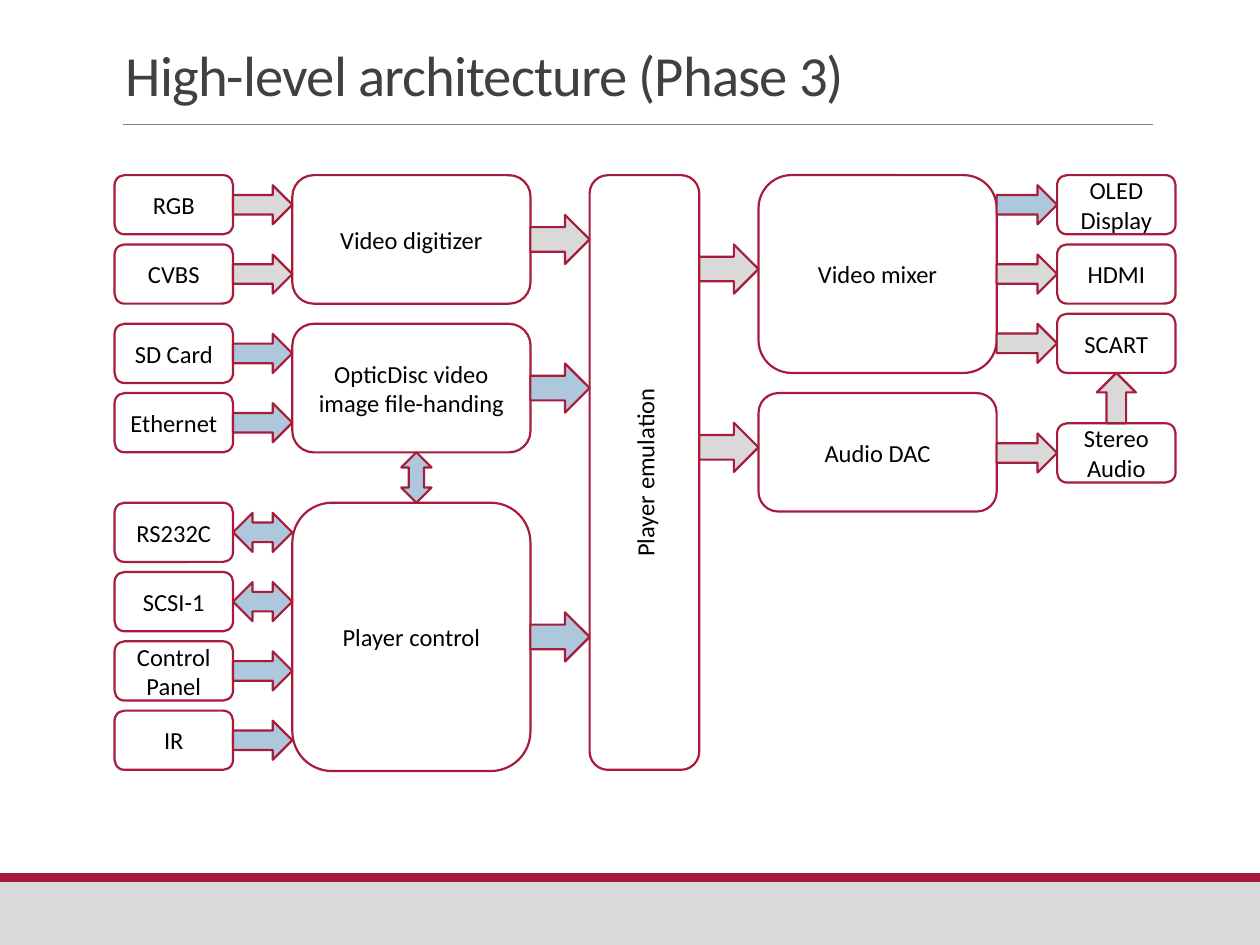
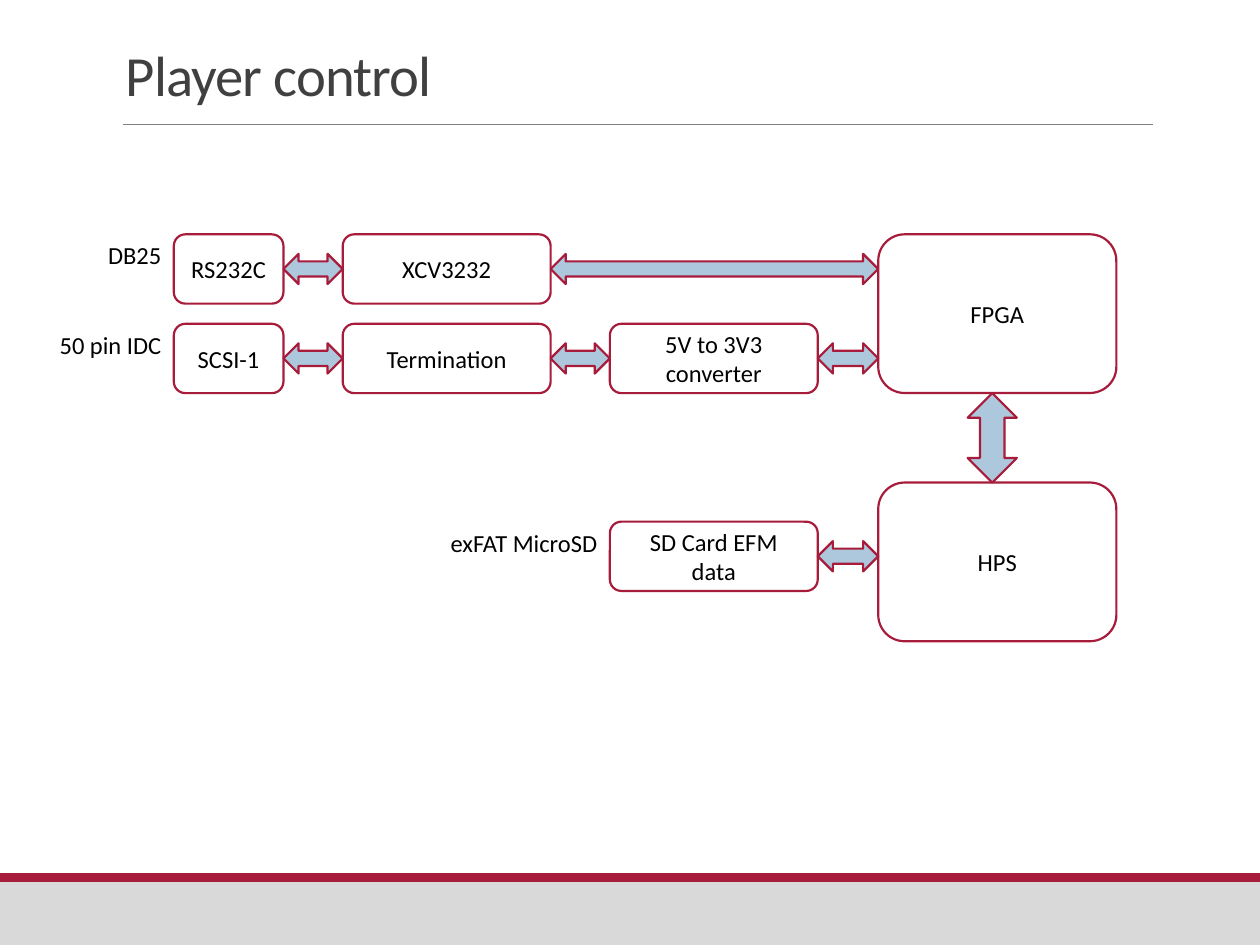
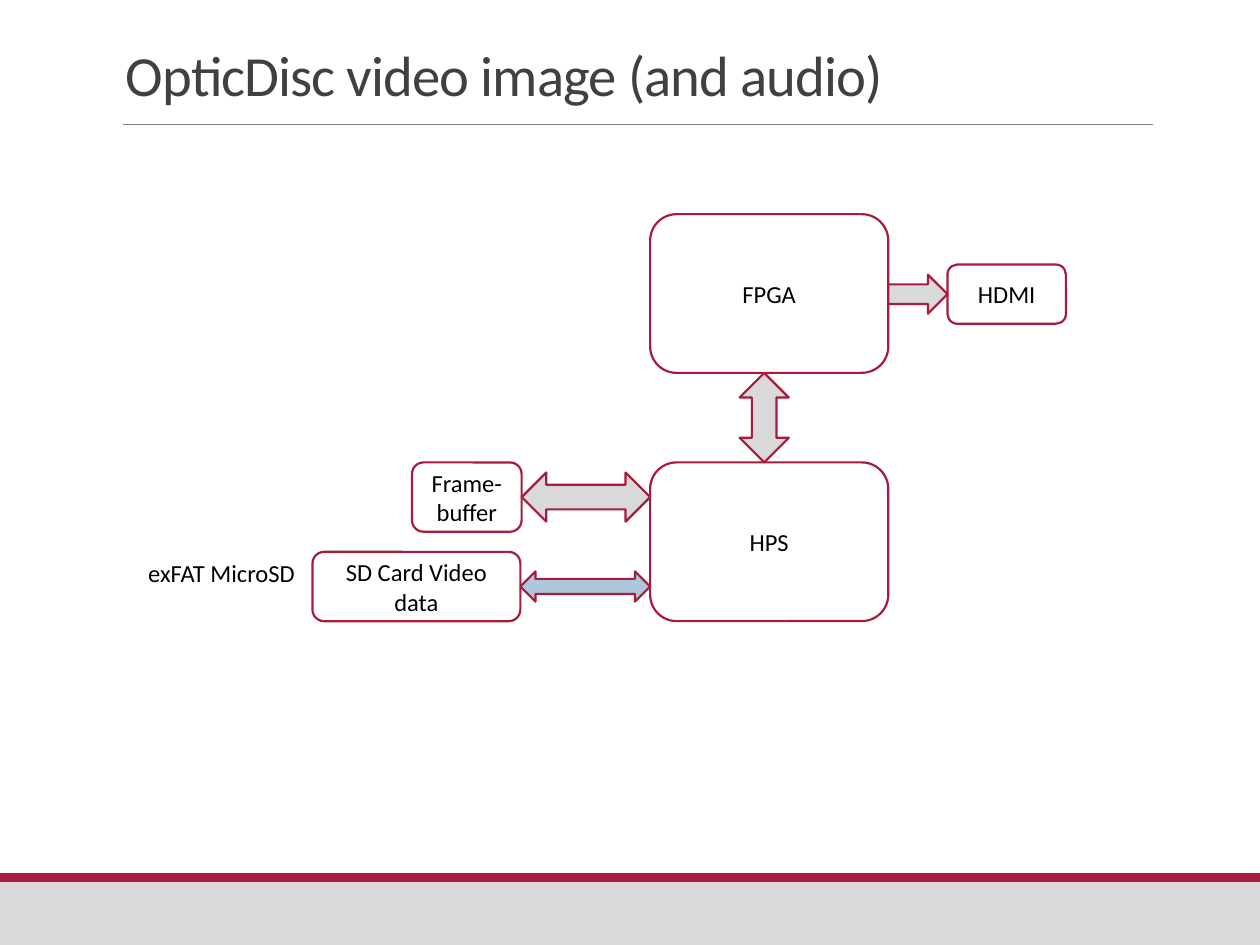
from pptx import Presentation
from pptx.dml.color import RGBColor
from pptx.enum.shapes import MSO_CONNECTOR, MSO_SHAPE
from pptx.enum.text import MSO_ANCHOR, MSO_AUTO_SIZE, PP_ALIGN
from pptx.oxml.ns import qn
from pptx.util import Inches, Pt
from lxml.etree import SubElement

RED, GREY, BLUE = "A81C3B", "D9D9D9", "ADC8DD"
RULE, TITLE, BLACK = "808080", "404040", "000000"
LABEL_HEIGHT = 0.34
BODY_FONT = {"name": "Calibri", "size": Pt(14)}
TITLE_FONT = {"name": "Calibri", "size": Pt(32.4)}
ARROWS = {
    ("across", "one"): MSO_SHAPE.RIGHT_ARROW,
    ("across", "both"): MSO_SHAPE.LEFT_RIGHT_ARROW,
    ("upright", "one"): MSO_SHAPE.UP_ARROW,
    ("upright", "both"): MSO_SHAPE.UP_DOWN_ARROW,
}

SLIDES = [
    {
        "title": "High-level architecture (Phase 3)",
        "columns": [
            (0.91, 0.94, [("RGB", 1.39, 0.47), ("CVBS", 1.94, 0.47),
                          ("SD Card", 2.57, 0.47), ("Ethernet", 3.12, 0.47),
                          ("RS232C", 3.99, 0.47), ("SCSI-1", 4.54, 0.47),
                          ("Control Panel", 5.09, 0.47), ("IR", 5.64, 0.47)]),
            (2.32, 1.89, [("Video digitizer", 1.39, 1.02),
                          ("OpticDisc video image file-handing", 2.57, 1.02),
                          ("Player control", 3.99, 2.13)]),
            (4.68, 0.87, [("Player emulation", 1.39, 4.72)]),
            (6.02, 1.89, [("Video mixer", 1.39, 1.57), ("Audio DAC", 3.12, 0.94)]),
            (8.39, 0.94, [("OLED Display", 1.39, 0.47), ("HDMI", 1.94, 0.47),
                          ("SCART", 2.49, 0.47), ("Stereo Audio", 3.36, 0.47)]),
        ],
        "turned": ["Player emulation"],
        "links": [
            ("RGB", "Video digitizer", "one", 0.31, GREY, 0),
            ("CVBS", "Video digitizer", "one", 0.31, GREY, 0),
            ("SD Card", "OpticDisc video image file-handing", "one", 0.31, BLUE, 0),
            ("Ethernet", "OpticDisc video image file-handing", "one", 0.31, BLUE, 0),
            ("RS232C", "Player control", "both", 0.31, BLUE, 0),
            ("SCSI-1", "Player control", "both", 0.31, BLUE, 0),
            ("Control Panel", "Player control", "one", 0.31, BLUE, 0),
            ("IR", "Player control", "one", 0.31, BLUE, 0),
            ("Video digitizer", "Player emulation", "one", 0.39, GREY, 0),
            ("OpticDisc video image file-handing", "Player emulation", "one", 0.39, BLUE, 0),
            ("Player control", "Player emulation", "one", 0.39, BLUE, 0),
            ("Player emulation", "Video mixer", "one", 0.39, GREY, -0.04),
            ("Player emulation", "Audio DAC", "one", 0.39, GREY, -0.04),
            ("Video mixer", "OLED Display", "one", 0.31, BLUE, 0),
            ("Video mixer", "HDMI", "one", 0.31, GREY, 0),
            ("Video mixer", "SCART", "one", 0.31, GREY, 0),
            ("Audio DAC", "Stereo Audio", "one", 0.31, GREY, 0),
            ("Stereo Audio", "SCART", "one", 0.31, GREY, 0),
            ("Player control", "OpticDisc video image file-handing", "both", 0.24, BLUE, 0.04),
        ],
        "labels": [],
    },
    {
        "title": "Player control",
        "columns": [
            (1.38, 0.87, [("RS232C", 1.86, 0.55), ("SCSI-1", 2.57, 0.55)]),
            (2.72, 1.65, [("XCV3232", 1.86, 0.55), ("Termination", 2.57, 0.55)]),
            (4.84, 1.65, [("5V to 3V3 converter", 2.57, 0.55),
                          ("SD Card EFM data", 4.14, 0.55)]),
            (6.97, 1.89, [("FPGA", 1.86, 1.26), ("HPS", 3.83, 1.26)]),
        ],
        "turned": [],
        "links": [
            ("RS232C", "XCV3232", "both", 0.24, BLUE, 0),
            ("XCV3232", "FPGA", "both", 0.24, BLUE, 0),
            ("SCSI-1", "Termination", "both", 0.24, BLUE, 0),
            ("Termination", "5V to 3V3 converter", "both", 0.24, BLUE, 0),
            ("5V to 3V3 converter", "FPGA", "both", 0.24, BLUE, 0),
            ("SD Card EFM data", "HPS", "both", 0.24, BLUE, 0),
            ("HPS", "FPGA", "both", 0.39, BLUE, -0.04),
        ],
        "labels": [("DB25", "RS232C", 0.63, 0), ("50 pin IDC", "SCSI-1", 1.02, 0),
                   ("exFAT MicroSD", "SD Card EFM data", 1.38, 0)],
    },
    {
        "title": "OpticDisc video image (and audio)",
        "columns": [
            (2.48, 1.65, [("SD Card Video data", 4.38, 0.55)]),
            (3.27, 0.87, [("Frame-buffer", 3.67, 0.55)]),
            (5.16, 1.89, [("FPGA", 1.7, 1.26), ("HPS", 3.67, 1.26)]),
            (7.52, 0.94, [("HDMI", 2.1, 0.47)]),
        ],
        "turned": [],
        "links": [
            ("Frame-buffer", "HPS", "both", 0.39, GREY, 0),
            ("SD Card Video data", "HPS", "both", 0.24, BLUE, 0),
            ("HPS", "FPGA", "both", 0.39, GREY, -0.04),
            ("FPGA", "HDMI", "one", 0.31, GREY, 0),
        ],
        "labels": [("exFAT MicroSD", "SD Card Video data", 1.38, 0.04)],
    },
]


def colour(value):
    return RGBColor.from_string(value)


def inches(*lengths):
    return [Inches(length) for length in lengths]


def add_shape(page, kind, place, fill=None, line=RED):
    shape = page.shapes.add_shape(kind, *inches(*place))
    shape.shadow.inherit = False
    if fill:
        shape.fill.solid()
        shape.fill.fore_color.rgb = colour(fill)
    else:
        shape.fill.background()
    if line:
        shape.line.color.rgb = colour(line)
        shape.line.width = Pt(1.25)
    else:
        shape.line.fill.background()
    return shape


def write(shape, text, font, ink, align):
    para = shape.text_frame.paragraphs[0]
    para.alignment = align
    span = para.add_run()
    span.text = text
    for name, value in font.items():
        setattr(span.font, name, value)
    span.font.color.rgb = colour(ink)
    return para, span


def add_frame(page, title):
    add_shape(page, MSO_SHAPE.RECTANGLE, (0, 7, 10, 0.5), GREY, None)
    add_shape(page, MSO_SHAPE.RECTANGLE, (0, 6.93, 10, 0.07), RED, None)
    rule = page.shapes.add_connector(MSO_CONNECTOR.STRAIGHT, *inches(0.98, 0.99, 9.15, 0.99))
    rule.line.color.rgb = colour(RULE)
    rule.line.width = Pt(0.5)
    SubElement(rule._element.spPr, qn("a:effectLst"))
    heading = page.shapes.add_textbox(*inches(0.9, 0.31, 8.25, 0.6))
    heading.text_frame.word_wrap = True
    heading.text_frame.vertical_anchor = MSO_ANCHOR.BOTTOM
    para, span = write(heading, title, TITLE_FONT, TITLE, PP_ALIGN.LEFT)
    para.line_spacing = 0.85
    span._r.get_or_add_rPr().set("spc", "-50")


def add_box(page, text, place, turned):
    left, top, width, height = place
    if turned:
        place = (left + (width - height) / 2, top + (height - width) / 2, height, width)
    box = add_shape(page, MSO_SHAPE.ROUNDED_RECTANGLE, place)
    box.rotation = 270 if turned else 0
    box.text_frame.vertical_anchor = MSO_ANCHOR.MIDDLE
    write(box, text, BODY_FONT, BLACK, PP_ALIGN.CENTER)


def add_link(page, start, end, heads, thickness, fill, shift):
    if start[0] == end[0]:
        way = "upright"
        bottom = end[1] + end[3]
        centre = start[0] + start[2] / 2 + shift
        place = (centre - thickness / 2, bottom, thickness, start[1] - bottom)
    else:
        way = "across"
        right = start[0] + start[2]
        smaller = min(start, end, key=lambda box: box[3])
        centre = smaller[1] + smaller[3] / 2 + shift
        place = (right, centre - thickness / 2, end[0] - right, thickness)
    add_shape(page, ARROWS[way, heads], place, fill)


def add_label(page, text, box, width, gap):
    label = page.shapes.add_textbox(*inches(box[0] - gap - width, box[1], width, LABEL_HEIGHT))
    label.text_frame.word_wrap = False
    label.text_frame.auto_size = MSO_AUTO_SIZE.SHAPE_TO_FIT_TEXT
    write(label, text, BODY_FONT, BLACK, PP_ALIGN.RIGHT)


def main():
    deck = Presentation()
    deck.slide_width, deck.slide_height = inches(10, 7.5)
    for content in SLIDES:
        page = deck.slides.add_slide(deck.slide_layouts[6])
        add_frame(page, content["title"])
        boxes = {text: (left, top, width, height)
                 for left, width, items in content["columns"]
                 for text, top, height in items}
        for text, place in boxes.items():
            add_box(page, text, place, text in content["turned"])
        for start, end, *style in content["links"]:
            add_link(page, boxes[start], boxes[end], *style)
        for text, target, width, gap in content["labels"]:
            add_label(page, text, boxes[target], width, gap)
    deck.save("out.pptx")


if __name__ == "__main__":
    main()
